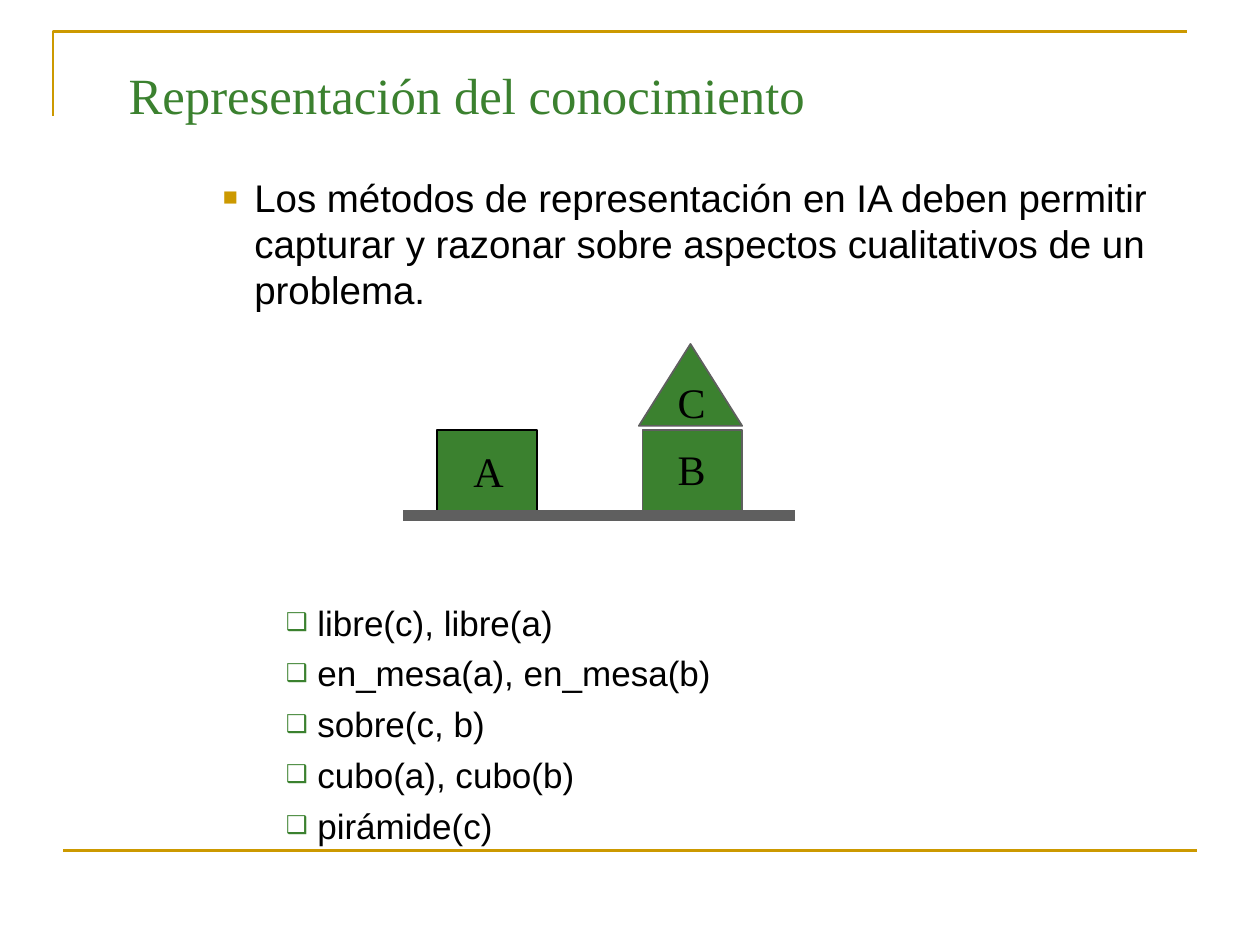
from typing import NamedTuple

from lxml import etree
from pptx import Presentation
from pptx.dml.color import RGBColor
from pptx.enum.shapes import MSO_CONNECTOR, MSO_SHAPE
from pptx.enum.text import MSO_ANCHOR, MSO_AUTO_SIZE, PP_ALIGN
from pptx.oxml.ns import qn
from pptx.util import Inches, Pt

GREEN, GOLD, GRAY, BLACK = "3B812F", "CC9900", "5F5F5F", "000000"
SERIF, SANS = "Times New Roman", "Arial"


class Block(NamedTuple):
    kind: MSO_SHAPE
    left: float
    top: float
    width: float
    outline: str


class Label(NamedTuple):
    text: str
    left: float
    top: float
    width: float


class Bullet(NamedTuple):
    character: str
    color: str
    percent: int
    indent: float
    size: int


BLOCKS = [
    Block(MSO_SHAPE.RECTANGLE, 3.47, 3.41, 0.79, BLACK),
    Block(MSO_SHAPE.RECTANGLE, 5.1, 3.41, 0.79, GRAY),
    Block(MSO_SHAPE.ISOSCELES_TRIANGLE, 5.07, 2.73, 0.82, GRAY),
]
LABELS = [
    Label("A", 3.66, 3.49, 0.44),
    Label("B", 5.28, 3.47, 0.42),
    Label("C", 5.28, 2.94, 0.42),
]
STATEMENT = Bullet("■", GOLD, 65, 1.25, 22)
FACT = Bullet("❑", GREEN, 70, 1.75, 20)
FACTS = [
    "libre(c), libre(a)",
    "en_mesa(a), en_mesa(b)",
    "sobre(c, b)",
    "cubo(a), cubo(b)",
    "pirámide(c)",
]
DIAGRAM_GAP = 165  # points left free for the blocks


def rgb(color: str) -> RGBColor:
    return RGBColor.from_string(color)


def add_run(paragraph, text: str, size: int, font: str, color: str) -> None:
    run = paragraph.add_run()
    run.text = text
    run.font.size = Pt(size)
    run.font.name = font
    run.font.color.rgb = rgb(color)


def add_line(slide, start_x: float, end_x: float, y: float, color: str, width: float) -> None:
    """Draw a horizontal line without a shadow."""
    line = slide.shapes.add_connector(
        MSO_CONNECTOR.STRAIGHT, Inches(start_x), Inches(y), Inches(end_x), Inches(y))
    line.line.color.rgb = rgb(color)
    line.line.width = Pt(width)
    etree.SubElement(line._element.spPr, qn("a:effectLst"))


def add_corner(slide) -> None:
    builder = slide.shapes.build_freeform(Inches(0.42), Inches(0.92))
    builder.add_line_segments(
        [(Inches(0.42), Inches(0.25)), (Inches(9.42), Inches(0.25))], close=False)
    corner = builder.convert_to_shape()
    corner.shadow.inherit = False
    corner.fill.background()
    corner.line.color.rgb = rgb(GOLD)
    corner.line.width = Pt(1.5)


def add_block(slide, block: Block) -> None:
    shape = slide.shapes.add_shape(
        block.kind, Inches(block.left), Inches(block.top), Inches(block.width), Inches(0.65))
    shape.shadow.inherit = False
    shape.fill.solid()
    shape.fill.fore_color.rgb = rgb(GREEN)
    shape.line.color.rgb = rgb(block.outline)
    shape.line.width = Pt(1)


def add_label(slide, label: Label) -> None:
    box = slide.shapes.add_textbox(
        Inches(label.left), Inches(label.top), Inches(label.width), Inches(0.5))
    box.text_frame.word_wrap = False
    box.text_frame.auto_size = MSO_AUTO_SIZE.SHAPE_TO_FIT_TEXT
    add_run(box.text_frame.paragraphs[0], label.text, 24, SERIF, BLACK)


def write_bullet(paragraph, text: str, bullet: Bullet, space_before: float) -> None:
    paragraph.space_before = Pt(space_before)
    properties = paragraph._p.get_or_add_pPr()
    properties.set("marL", str(Inches(bullet.indent)))
    properties.set("indent", str(Inches(-0.25)))
    color = etree.SubElement(properties, qn("a:buClr"))
    etree.SubElement(color, qn("a:srgbClr"), val=bullet.color)
    etree.SubElement(properties, qn("a:buSzPct"), val=str(bullet.percent * 1000))
    etree.SubElement(properties, qn("a:buFont"), typeface=SANS)
    etree.SubElement(properties, qn("a:buChar"), char=bullet.character)
    add_run(paragraph, text, bullet.size, SANS, BLACK)


def add_body(slide) -> None:
    box = slide.shapes.add_textbox(Inches(0.67), Inches(1.33), Inches(8.92), Inches(5.43))
    frame = box.text_frame
    frame.word_wrap = True
    write_bullet(
        frame.paragraphs[0],
        "Los métodos de representación en IA deben permitir capturar y razonar "
        "sobre aspectos cualitativos de un problema.",
        STATEMENT, 5.5)
    for index, fact in enumerate(FACTS):
        write_bullet(frame.add_paragraph(), fact, FACT, 5 if index else DIAGRAM_GAP)


def set_title(slide, text: str) -> None:
    title = slide.shapes.title
    title.left, title.top = Inches(0.92), Inches(0.33)
    title.width, title.height = Inches(8.5), Inches(0.83)
    title.text_frame.vertical_anchor = MSO_ANCHOR.MIDDLE
    title.text_frame.auto_size = MSO_AUTO_SIZE.NONE
    paragraph = title.text_frame.paragraphs[0]
    paragraph.alignment = PP_ALIGN.LEFT
    add_run(paragraph, text, 29, SERIF, GREEN)


def main() -> None:
    presentation = Presentation()
    presentation.slide_width = Inches(10)
    presentation.slide_height = Inches(7.5)
    slide = presentation.slides.add_slide(presentation.slide_layouts[5])
    set_title(slide, "Representación del conocimiento")
    add_corner(slide)
    add_line(slide, 0.5, 9.5, 6.75, GOLD, 1.5)
    add_body(slide)
    for block in BLOCKS:
        add_block(slide, block)
    for label in LABELS:
        add_label(slide, label)
    add_line(slide, 3.2, 6.31, 4.09, GRAY, 6)
    presentation.save("out.pptx")


if __name__ == "__main__":
    main()
